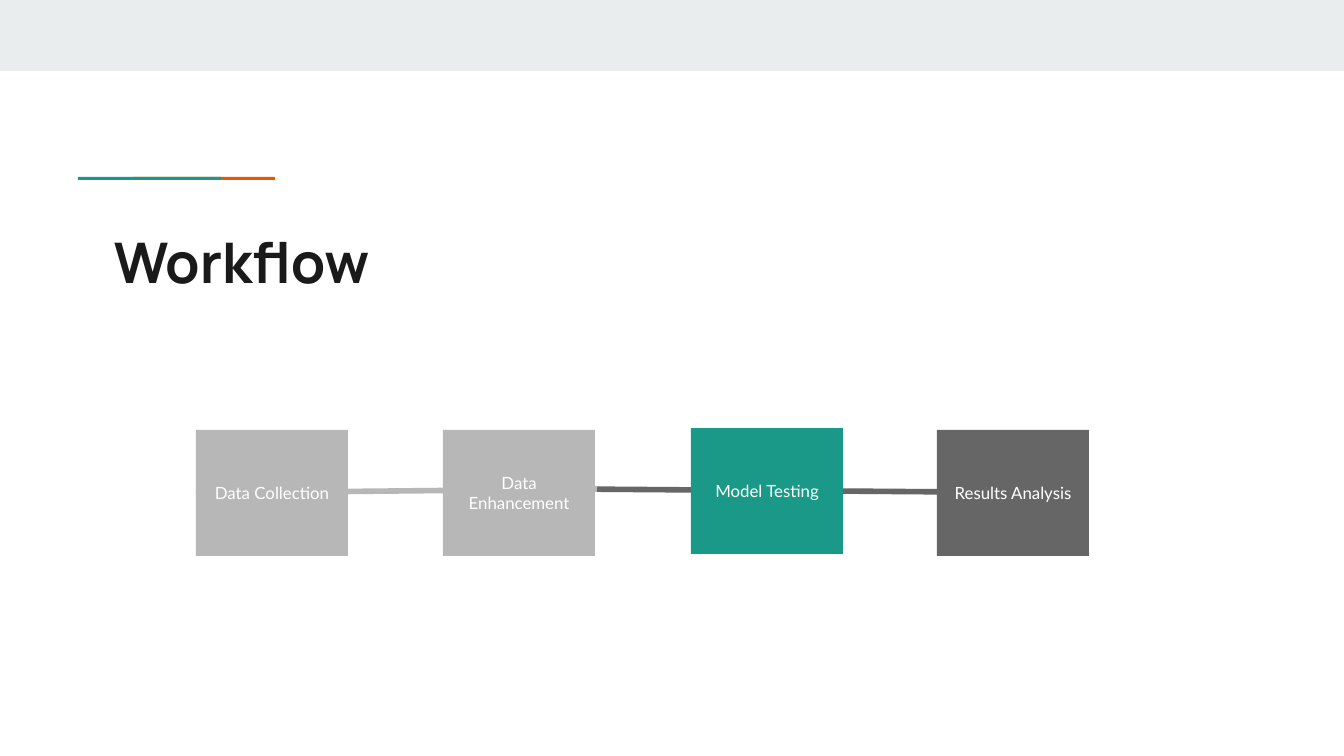
"""Build the workflow slide: four linked step boxes under a title."""
from typing import NamedTuple

from lxml.etree import SubElement
from pptx import Presentation
from pptx.dml.color import RGBColor
from pptx.enum.shapes import MSO_CONNECTOR as Connector, MSO_SHAPE as Preset
from pptx.enum.text import MSO_ANCHOR as Anchor, PP_ALIGN as Align
from pptx.oxml.ns import qn
from pptx.util import Emu, Pt

EMU_PER_PX = 914400 / 134.4
INSET = 13
STEP_WIDTH, STEP_HEIGHT = 152, 126
COLORS = {
    "band": "E9EDEE",
    "teal": "1A9988",
    "orange": "EB5600",
    "light": "B7B7B7",
    "dark": "666666",
    "ink": "1A1A1A",
    "white": "FFFFFF",
}


class Block(NamedTuple):
    left: int
    top: int
    width: int
    height: int
    color: str


class Step(NamedTuple):
    label: str
    left: int
    top: int
    color: str


class Link(NamedTuple):
    start: tuple[int, int]
    end: tuple[int, int]
    color: str


BLOCKS = [
    Block(0, 0, 1344, 71, "band"),
    Block(133, 177, 142, 3, "orange"),
    Block(78, 177, 143, 3, "teal"),
]
LINKS = [
    Link((570, 489), (1089, 493), "dark"),
    Link((196, 493), (597, 489), "light"),
]
STEPS = [
    Step("Results Analysis", 937, 430, "dark"),
    Step("Model Testing", 691, 428, "teal"),
    Step("Data Enhancement", 443, 430, "light"),
    Step("Data Collection", 196, 430, "light"),
]


def px(value: int) -> Emu:
    """Turn pixels into EMU."""
    return Emu(round(value * EMU_PER_PX))


def rgb(name: str) -> RGBColor:
    """Look up a named colour."""
    return RGBColor.from_string(COLORS[name])


def add_block(slide, block: Block):
    """Draw a plain filled rectangle."""
    shape = slide.shapes.add_shape(Preset.RECTANGLE, *map(px, block[:4]))
    shape.shadow.inherit = False
    shape.fill.solid()
    shape.fill.fore_color.rgb = rgb(block.color)
    shape.line.fill.background()
    return shape


def add_text(shape, text: str, font_name: str, size: int, color: str,
             align: Align, anchor: Anchor, bold: bool = False) -> None:
    """Write one styled run into a shape."""
    frame = shape.text_frame
    frame.word_wrap = True
    frame.vertical_anchor = anchor
    frame.margin_left = frame.margin_right = px(INSET)
    frame.margin_top = frame.margin_bottom = px(INSET)
    paragraph = frame.paragraphs[0]
    paragraph.alignment = align
    run = paragraph.add_run()
    run.text = text
    run.font.name = font_name
    run.font.size = Pt(size)
    run.font.bold = bold
    run.font.color.rgb = rgb(color)


def add_link(slide, link: Link):
    """Draw a straight line between two points."""
    connector = slide.shapes.add_connector(
        Connector.STRAIGHT, *map(px, link.start + link.end))
    connector.line.color.rgb = rgb(link.color)
    connector.line.width = Pt(3)
    SubElement(connector._element.spPr, qn("a:effectLst"))
    return connector


def add_step(slide, step: Step):
    """Draw a labelled step box."""
    shape = add_block(slide, Block(step.left, step.top, STEP_WIDTH, STEP_HEIGHT, step.color))
    add_text(shape, step.label, "Lato", 9, "white", Align.CENTER, Anchor.MIDDLE)
    return shape


def main() -> None:
    """Build and save the presentation."""
    presentation = Presentation()
    presentation.slide_width, presentation.slide_height = px(1344), px(756)
    slide = presentation.slides.add_slide(presentation.slide_layouts[6])
    for block in BLOCKS:
        add_block(slide, block)
    to_results, from_collection = [add_link(slide, link) for link in LINKS]
    title = slide.shapes.add_textbox(px(101), px(215), px(1130), px(79))
    add_text(title, "Workflow", "Manrope", 30, "ink", Align.LEFT, Anchor.TOP, bold=True)
    boxes = {step.label: add_step(slide, step) for step in STEPS}
    to_results.end_connect(boxes["Results Analysis"], 3)
    from_collection.begin_connect(boxes["Data Collection"], 1)
    presentation.save("out.pptx")


if __name__ == "__main__":
    main()
